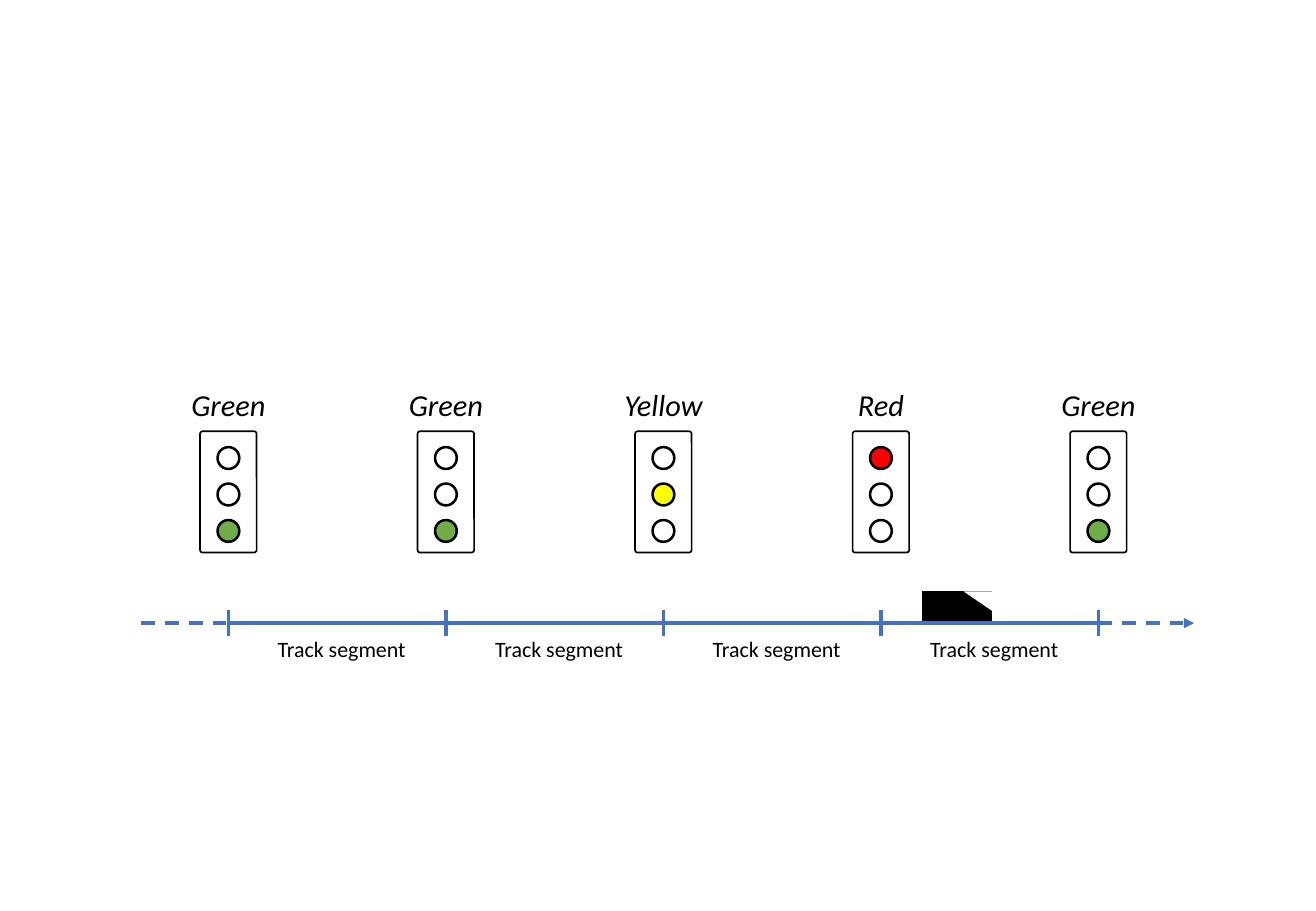
from dataclasses import dataclass

from lxml.etree import SubElement
from pptx import Presentation
from pptx.dml.color import RGBColor
from pptx.enum.dml import MSO_LINE as Dash
from pptx.enum.shapes import MSO_CONNECTOR as Link, MSO_SHAPE as Form
from pptx.enum.text import MSO_AUTO_SIZE as Fit, PP_ALIGN as Align
from pptx.oxml.ns import qn
from pptx.util import Inches, Length, Pt

BLACK = RGBColor(0x00, 0x00, 0x00)
WHITE = RGBColor(0xFF, 0xFF, 0xFF)
GREEN = RGBColor(0x70, 0xAD, 0x47)
YELLOW = RGBColor(0xFF, 0xFF, 0x00)
RED = RGBColor(0xFF, 0x00, 0x00)
BLUE = RGBColor(0x44, 0x72, 0xC4)

COL, ROW = 1.79, 0.3
FIRST = 1.05
TRACK = 17.1
TICK = 0.35


@dataclass(frozen=True)
class Area:
    x: float
    y: float
    wide: float
    high: float

    def frame(self) -> tuple[Length, ...]:
        return (
            Inches((self.x - self.wide / 2) * COL),
            Inches((self.y - self.high / 2) * ROW),
            Inches(self.wide * COL),
            Inches(self.high * ROW),
        )


@dataclass(frozen=True)
class Signal:
    name: str
    lit: int
    color: RGBColor


@dataclass(frozen=True)
class Rail:
    start: float
    end: float
    top: float = TRACK
    base: float = TRACK
    dashed: bool = False
    arrow: bool = False


SIGNALS = (
    Signal("Green", 2, GREEN),
    Signal("Green", 2, GREEN),
    Signal("Yellow", 1, YELLOW),
    Signal("Red", 0, RED),
    Signal("Green", 2, GREEN),
)
LAST = FIRST + len(SIGNALS) - 1


def draw_shape(shapes, form: Form, area: Area, fill: RGBColor | None, edge: float = 0):
    shape = shapes.add_shape(form, *area.frame())
    shape.shadow.inherit = False
    if fill is None:
        shape.fill.background()
    else:
        shape.fill.solid()
        shape.fill.fore_color.rgb = fill
    if edge:
        shape.line.color.rgb = BLACK
        shape.line.width = Pt(edge)
    else:
        shape.line.fill.background()
    return shape


def draw_text(shapes, text: str, area: Area, size: int, slant: bool = False) -> None:
    frame = shapes.add_textbox(*area.frame()).text_frame
    frame.word_wrap = True
    frame.auto_size = Fit.SHAPE_TO_FIT_TEXT
    frame.text = text
    line = frame.paragraphs[0]
    line.alignment = Align.CENTER
    font = line.runs[0].font
    font.name = "Calibri"
    font.size = Pt(size)
    font.italic = slant
    font.color.rgb = BLACK


def draw_rail(shapes, rail: Rail) -> None:
    line = shapes.add_connector(
        Link.STRAIGHT,
        Inches(rail.start * COL), Inches(rail.top * ROW),
        Inches(rail.end * COL), Inches(rail.base * ROW),
    )
    line.line.color.rgb = BLUE
    line.line.width = Pt(2)
    if rail.dashed:
        line.line.dash_style = Dash.DASH
    if rail.arrow:
        SubElement(line.line._get_or_add_ln(), qn("a:tailEnd"), type="triangle")
    SubElement(line._element.spPr, qn("a:effectLst"))


def draw_signal(shapes, signal: Signal, x: float) -> None:
    group = shapes.add_group_shape().shapes
    case = draw_shape(group, Form.ROUNDED_RECTANGLE, Area(x, 13.5, 0.26, 3.33), None, 1)
    case.adjustments[0] = 0.045
    for lamp in range(3):
        fill = signal.color if lamp == signal.lit else WHITE
        draw_shape(group, Form.OVAL, Area(x, 12.57 + lamp, 0.1, 0.6), fill, 1.5)
    draw_text(shapes, signal.name, Area(x, 11.1, 0.5, 1.33), 18, True)


def draw_train(shapes) -> None:
    group = shapes.add_group_shape().shapes
    train = Area(4.4, 16.63, 0.32, 0.8)
    wide, high = 0.13, 0.53
    nose = Area(
        train.x + (train.wide - wide) / 2,
        train.y - (train.high - high) / 2,
        wide,
        high,
    )
    draw_shape(group, Form.FLOWCHART_PROCESS, train, BLACK)
    draw_shape(group, Form.RIGHT_TRIANGLE, nose, WHITE).rotation = 180


def main() -> None:
    deck = Presentation()
    deck.slide_width, deck.slide_height = Inches(10.83), Inches(7.5)
    shapes = deck.slides.add_slide(deck.slide_layouts[6]).shapes
    draw_train(shapes)
    for step, signal in enumerate(SIGNALS):
        x = FIRST + step
        draw_signal(shapes, signal, x)
        draw_rail(shapes, Rail(x, x, TRACK - TICK, TRACK + TICK))
        if x < LAST:
            draw_text(shapes, "Track segment", Area(x + 0.52, 17.8, 0.85, 1.07), 13)
    draw_rail(shapes, Rail(0.65, FIRST, dashed=True))
    draw_rail(shapes, Rail(FIRST, LAST))
    draw_rail(shapes, Rail(LAST, 5.49, dashed=True, arrow=True))
    deck.save("out.pptx")


if __name__ == "__main__":
    main()
